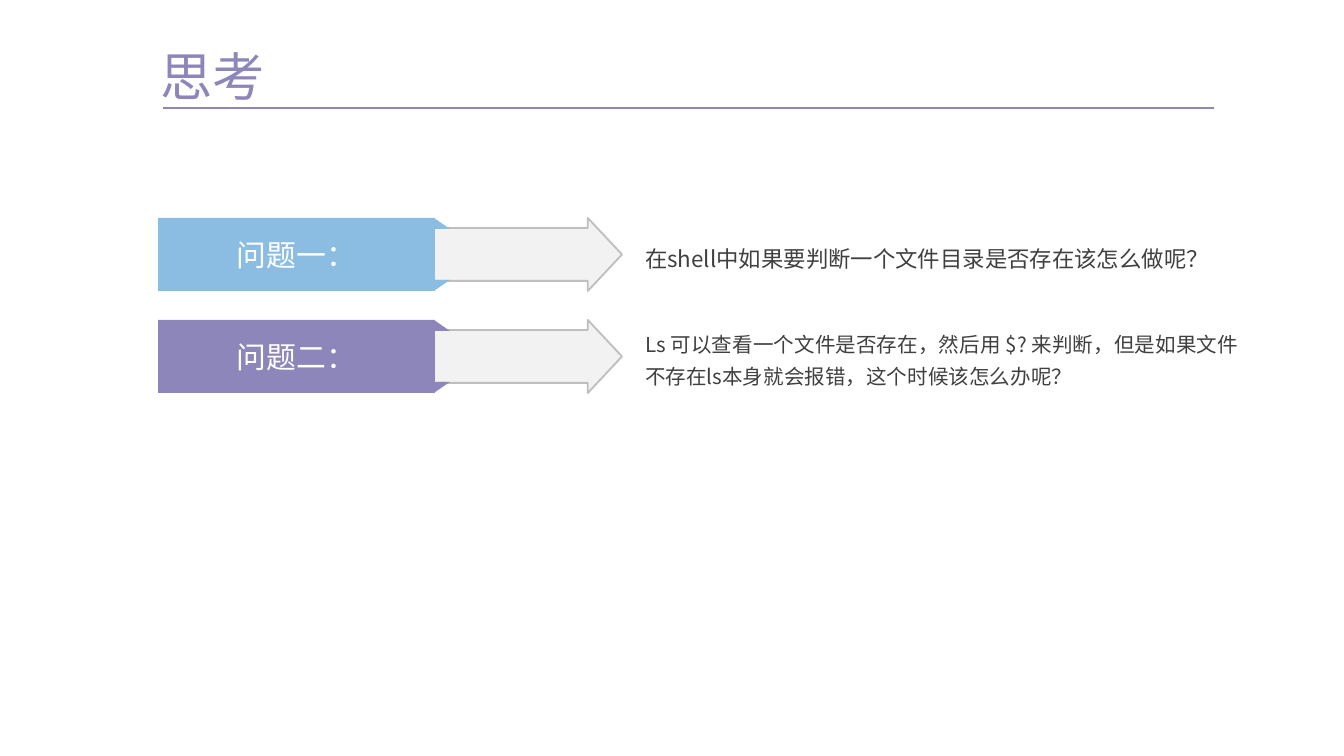
"""Build a slide with two questions, each a ribbon label, an arrow and a text."""
import dataclasses
from typing import Any

import pptx
import pptx.dml.color
import pptx.enum.shapes
import pptx.enum.text
import pptx.oxml
import pptx.oxml.ns
import pptx.util

SCALE = 914400 / 134.4
FONT = "Noto Sans CJK SC"
HUES = {
    "blue": "8BBDE2",
    "plum": "8D86BA",
    "pale": "F2F2F2",
    "edge": "BFBFBF",
    "ink": "404040",
    "white": "FFFFFF",
}
KINDS = pptx.enum.shapes.MSO_SHAPE
ALIGN = pptx.enum.text.PP_ALIGN
ANCHOR = pptx.enum.text.MSO_ANCHOR
FLAT = dict.fromkeys(("margin_left", "margin_top", "margin_right", "margin_bottom"), 0)
LEFT, TOP, STEP, HIGH = 158, 218, 102, 73
WIDE, FOLD_W, FOLD_H = 277, 16, 11


@dataclasses.dataclass
class Row:
    label: str
    hue: str
    text: str
    size: int


ROWS = [
    Row("问题一：", "blue", "在shell中如果要判断一个文件目录是否存在该怎么做呢？", 12),
    Row("问题二：", "plum",
        "Ls 可以查看一个文件是否存在，然后用 $? 来判断，但是如果文件不存在ls本身就会报错，这个时候该怎么办呢？", 11),
]


def px(num: float) -> int:
    return round(num * SCALE)


def rgb(hue: str) -> pptx.dml.color.RGBColor:
    return pptx.dml.color.RGBColor.from_string(HUES[hue])


def put(item: Any, form: dict[str, Any]) -> None:
    for key, value in form.items():
        setattr(item, key, value)


def write(shape: Any, text: str, size: int, hue: str,
          frame: dict[str, Any], para: dict[str, Any]) -> None:
    box = shape.text_frame
    put(box, {"word_wrap": True, **frame})
    line = box.paragraphs[0]
    put(line, para)
    run = line.add_run()
    run.text = text
    put(run.font, {"name": FONT, "size": pptx.util.Pt(size), "bold": False})
    run.font.color.rgb = rgb(hue)
    east = pptx.oxml.parse_xml(f'<a:ea {pptx.oxml.ns.nsdecls("a")} typeface="{FONT}"/>')
    run.font._element.find(pptx.oxml.ns.qn("a:latin")).addnext(east)


def draw(shapes: Any, kind: Any, area: tuple[int, int, int, int],
         fill: str, edge: str = "") -> Any:
    shape = shapes.add_shape(kind, *map(px, area))
    shape.shadow.inherit = False
    shape.fill.solid()
    shape.fill.fore_color.rgb = rgb(fill)
    if edge:
        shape.line.color.rgb = rgb(edge)
        shape.line.width = pptx.util.Pt(1)
    else:
        shape.line.fill.background()
    return shape


def draw_row(shapes: Any, row: Row, top: int) -> None:
    arrow = draw(shapes, KINDS.RIGHT_ARROW, (312, top, 310, HIGH), "pale", "edge")
    arrow.adjustments[0], arrow.adjustments[1] = 0.726, 0.468

    group = shapes.add_group_shape().shapes
    for flip, y in ((True, top + HIGH - FOLD_H), (False, top)):
        fold = draw(group, KINDS.RIGHT_TRIANGLE, (LEFT + WIDE - 1, y, FOLD_W, FOLD_H), row.hue)
        if flip:
            fold._element.spPr.xfrm.set("flipV", "1")
    label = draw(group, KINDS.RECTANGLE, (LEFT, top, WIDE, HIGH), row.hue)
    write(label, row.label, 16, "white",
          {"vertical_anchor": ANCHOR.MIDDLE}, {"alignment": ALIGN.CENTER})

    note = shapes.add_textbox(*map(px, (645, top - 4, 593, 81)))
    write(note, row.text, row.size, "ink", {"vertical_anchor": ANCHOR.MIDDLE, **FLAT},
          {"alignment": ALIGN.JUSTIFY, "line_spacing": 1.3, "space_after": pptx.util.Pt(12)})


def main() -> None:
    deck = pptx.Presentation()
    put(deck, {"slide_width": px(1344), "slide_height": px(756)})
    slide = deck.slides.add_slide(deck.slide_layouts[5])
    shapes = slide.shapes

    title = shapes.title
    put(title, dict(zip(("left", "top", "width", "height"), map(px, (160, 44, 212, 63)))))
    write(title, "思考", 28, "plum",
          {"vertical_anchor": ANCHOR.TOP, "auto_size": pptx.enum.text.MSO_AUTO_SIZE.NONE, **FLAT},
          {"alignment": ALIGN.LEFT})

    rule = shapes.add_connector(
        pptx.enum.shapes.MSO_CONNECTOR.STRAIGHT, *map(px, (163, 108, 1214, 108)))
    rule.line.color.rgb = rgb("plum")
    rule.line.width = pptx.util.Pt(0.75)
    rule._element.spPr.append(
        pptx.oxml.parse_xml(f'<a:effectLst {pptx.oxml.ns.nsdecls("a")}/>'))

    for num, row in enumerate(ROWS):
        draw_row(shapes, row, TOP + num * STEP)
    deck.save("out.pptx")


if __name__ == "__main__":
    main()
